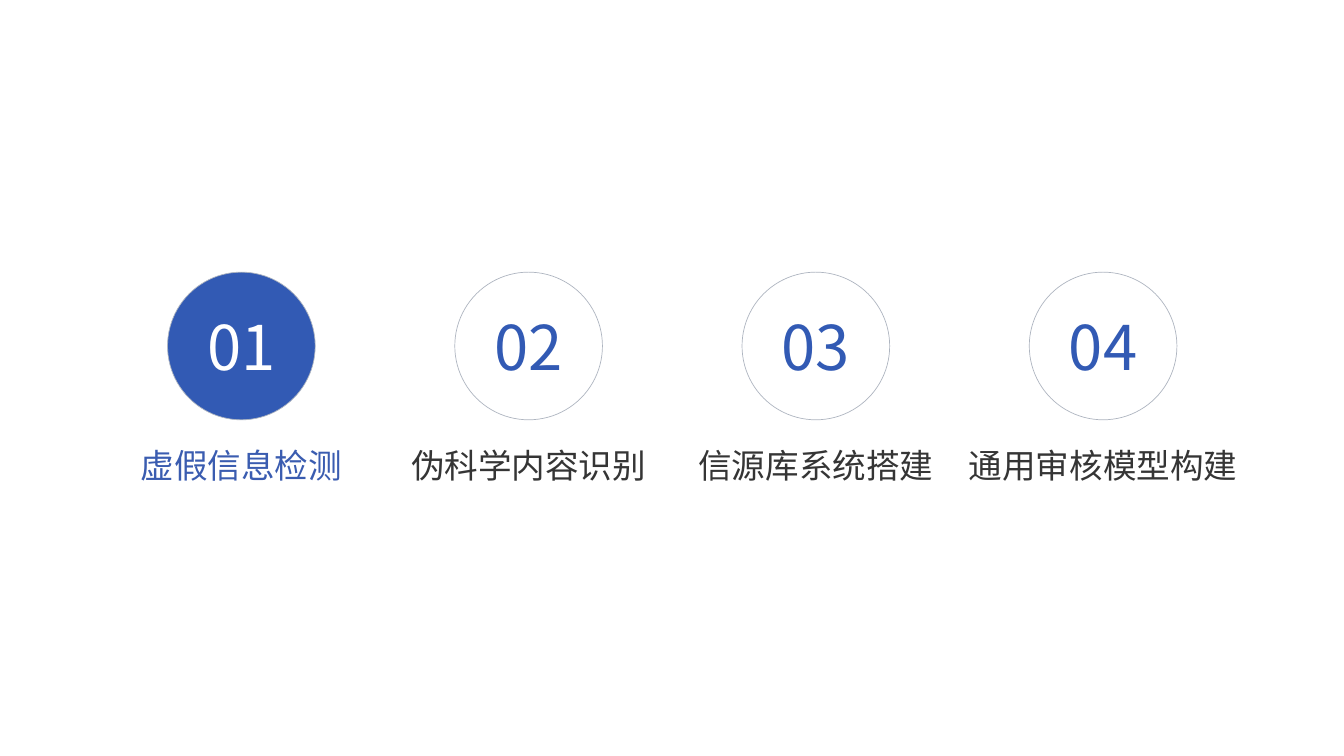
from lxml import etree
from pptx import Presentation
from pptx.dml.color import RGBColor
from pptx.enum.shapes import MSO_SHAPE
from pptx.enum.text import MSO_ANCHOR, MSO_AUTO_SIZE, PP_ALIGN
from pptx.oxml.ns import qn
from pptx.util import Inches, Pt

OVAL = MSO_SHAPE.OVAL
MIDDLE = MSO_ANCHOR.MIDDLE
TOP = MSO_ANCHOR.TOP
CENTER = PP_ALIGN.CENTER
GROW = MSO_AUTO_SIZE.SHAPE_TO_FIT_TEXT

BLUE = RGBColor(0x32, 0x5A, 0xB4)
LABEL_BLUE = RGBColor(0x3A, 0x5C, 0xB0)
DARK = RGBColor(0x35, 0x35, 0x35)
GREY = RGBColor(0xAE, 0xB5, 0xC0)
WHITE = RGBColor(0xFF, 0xFF, 0xFF)

FONT = "Noto Sans CJK SC"
DIAMETER = 2.93
LABEL_TOP = 3.38
LABEL_HEIGHT = 0.91
FIRST_CENTER = 4.79
PITCH = 5.7
AGENDA_TOP = 5.4
ACTIVE = 1
SECTIONS = [
    ("虚假信息检测", 4.77),
    ("伪科学内容识别", 5.15),
    ("信源库系统搭建", 5.23),
    ("通用审核模型构建", 5.58),
]


def write_text(frame, text, size, color, anchor):
    """Write one centred run into a text frame."""
    frame.word_wrap = True
    frame.vertical_anchor = anchor
    paragraph = frame.paragraphs[0]
    paragraph.alignment = CENTER
    run = paragraph.add_run()
    run.text = text
    run.font.size = Pt(size)
    run.font.color.rgb = color
    run.font.name = FONT
    east_asian = etree.SubElement(run.font._element, qn("a:ea"))
    east_asian.set("typeface", FONT)


def add_section(slide, center, top, number, title, title_width, active):
    """Place a numbered circle and its title around a centre line."""
    circle = slide.shapes.add_shape(
        OVAL, Inches(center - DIAMETER / 2), Inches(top),
        Inches(DIAMETER), Inches(DIAMETER))
    circle.shadow.inherit = False
    circle.fill.solid()
    circle.fill.fore_color.rgb = BLUE if active else WHITE
    circle.line.color.rgb = GREY
    circle.line.width = Pt(1)
    write_text(circle.text_frame, f"{number:02d}", 88,
               WHITE if active else BLUE, MIDDLE)

    label = slide.shapes.add_textbox(
        Inches(center - title_width / 2), Inches(top + LABEL_TOP),
        Inches(title_width), Inches(LABEL_HEIGHT))
    write_text(label.text_frame, title, 48,
               LABEL_BLUE if active else DARK, TOP)
    label.text_frame.auto_size = GROW


def add_agenda(slide, first_center, top):
    """Lay out the sections in an evenly spaced row."""
    for index, (title, title_width) in enumerate(SECTIONS):
        number = index + 1
        add_section(slide, first_center + index * PITCH, top, number,
                    title, title_width, number == ACTIVE)


def main():
    """Build and save the agenda slide."""
    presentation = Presentation()
    presentation.slide_width = Inches(26.67)
    presentation.slide_height = Inches(15)
    slide = presentation.slides.add_slide(presentation.slide_layouts[6])
    slide.background.fill.solid()
    slide.background.fill.fore_color.rgb = WHITE
    add_agenda(slide, FIRST_CENTER, AGENDA_TOP)
    presentation.save("out.pptx")


if __name__ == "__main__":
    main()
